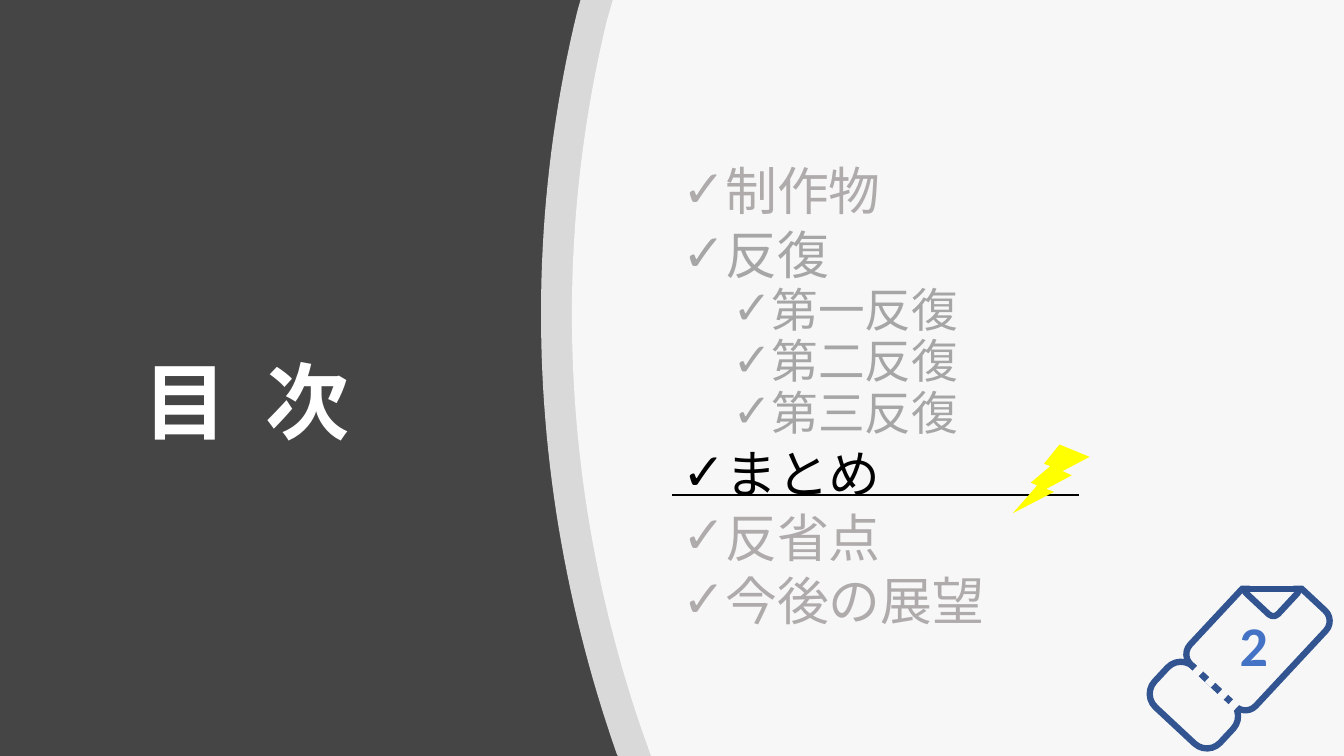
from lxml import etree
from pptx import Presentation
from pptx.dml.color import RGBColor
from pptx.enum.lang import MSO_LANGUAGE_ID
from pptx.enum.shapes import MSO_CONNECTOR, MSO_SHAPE
from pptx.enum.text import MSO_ANCHOR, MSO_AUTO_SIZE, PP_ALIGN
from pptx.oxml.ns import qn
from pptx.util import Pt

RECT = MSO_SHAPE.RECTANGLE
ROUND = MSO_SHAPE.ROUNDED_RECTANGLE
BOLT = MSO_SHAPE.LIGHTNING_BOLT
LINE = MSO_CONNECTOR.STRAIGHT
MIDDLE, TOP = MSO_ANCHOR.MIDDLE, MSO_ANCHOR.TOP
LEFT, CENTER = PP_ALIGN.LEFT, PP_ALIGN.CENTER
FIXED = MSO_AUTO_SIZE.NONE
JAPANESE = MSO_LANGUAGE_ID.JAPANESE

WIDTH, HEIGHT = 960, 540
DARK, WHITE, PALE = "454545", "FFFFFF", "F7F7F7"
FADED, GREY, BLACK = "AFABAB", "A6A6A6", "000000"
NAVY, EDGE, BLUE, YELLOW = "325491", "2F528F", "4472C4", "FFFF00"
TILT = 313

# Text, level, colour
ITEMS = [
    ("制作物", 0, FADED),
    ("反復", 0, GREY),
    ("第一反復", 1, GREY),
    ("第二反復", 1, GREY),
    ("第三反復", 1, GREY),
    ("まとめ", 0, BLACK),
    ("反省点", 0, FADED),
    ("今後の展望", 0, FADED),
]


def color(code):
    return RGBColor.from_string(code)


def curve(a, b, c, d, steps=48):
    """Return points along a cubic Bezier curve."""
    points = []
    for i in range(steps + 1):
        t = i / steps
        s = 1 - t
        points.append(tuple(
            s**3 * p + 3 * s * s * t * q + 3 * s * t * t * r + t**3 * e
            for p, q, r, e in zip(a, b, c, d)))
    return points


class Deck:
    """Hold the presentation, its style and the current slide."""

    font = "Arial"

    def __init__(self):
        self.prs = Presentation()
        self.prs.slide_width, self.prs.slide_height = Pt(WIDTH), Pt(HEIGHT)
        self.slide = self.prs.slides.add_slide(self.prs.slide_layouts[5])
        fill = self.slide.background.fill
        fill.solid()
        fill.fore_color.rgb = color(DARK)

    def paint(self, shape, fill=None, line=None, weight=1):
        shape.shadow.inherit = False
        if fill:
            shape.fill.solid()
            shape.fill.fore_color.rgb = color(fill)
        else:
            shape.fill.background()
        if line:
            shape.line.color.rgb = color(line)
            shape.line.width = Pt(weight)
        else:
            shape.line.fill.background()

    def shape(self, kind, box, fill=None, line=None, weight=1, turn=0, adj=None):
        item = self.slide.shapes.add_shape(kind, *map(Pt, box))
        self.paint(item, fill, line, weight)
        item.rotation = turn
        if adj is not None:
            item.adjustments[0] = adj
        return item

    def veil(self, points):
        """Draw a white outline shape at 80% opacity."""
        dots = [(Pt(x), Pt(y)) for x, y in points]
        build = self.slide.shapes.build_freeform(*dots[0])
        build.add_line_segments(dots[1:], close=True)
        item = build.convert_to_shape()
        self.paint(item, WHITE)
        tone = item.fill._xPr.find(qn("a:solidFill"))[0]
        etree.SubElement(tone, qn("a:alpha")).set("val", "80000")

    def line(self, x1, y1, x2, y2, tone, weight):
        item = self.slide.shapes.add_connector(LINE, *map(Pt, (x1, y1, x2, y2)))
        item.line.color.rgb = color(tone)
        item.line.width = Pt(weight)
        etree.SubElement(item._element.spPr, qn("a:effectLst"))

    def style(self, para, size, tone, bold=False, font=None, align=LEFT):
        para.alignment = align
        for run in para.runs:
            run.font.name = font or self.font
            run.font.size = Pt(size)
            run.font.bold = bold
            run.font.color.rgb = color(tone)
            run.font.language_id = JAPANESE

    def frame(self, item, anchor):
        frame = item.text_frame
        frame.word_wrap = True
        frame.auto_size = FIXED
        frame.vertical_anchor = anchor
        return frame

    def title(self, text, box):
        item = self.slide.shapes.title
        item.left, item.top, item.width, item.height = map(Pt, box)
        frame = self.frame(item, MIDDLE)
        frame.text = text
        para = frame.paragraphs[0]
        para.line_spacing = 0.9
        self.style(para, 60, WHITE, bold=True)
        para.runs[0].font._element.set("spc", "700")

    def label(self, text, box, size, tone, font):
        item = self.slide.shapes.add_textbox(*map(Pt, box))
        frame = self.frame(item, TOP)
        frame.text = text
        self.style(frame.paragraphs[0], size, tone, True, font, CENTER)

    def checks(self, items, box):
        """Write a two-level list with check marks."""
        frame = self.frame(self.slide.shapes.add_textbox(*map(Pt, box)), MIDDLE)
        frame.text = "\n".join(text for text, _, _ in items)
        for para, (_, level, tone) in zip(frame.paragraphs, items):
            para.level = level
            para.line_spacing = 0.8
            para.space_before = Pt(5 if level else 10)
            self.style(para, 33.3 if level else 37, tone)
            props = para._p.get_or_add_pPr()
            props.set("marL", str(Pt(18 + 36 * level)))
            props.set("indent", str(Pt(-18)))
            etree.SubElement(props, qn("a:buFont")).set("typeface", self.font)
            etree.SubElement(props, qn("a:buChar")).set("char", "✓")

    def ticket(self):
        for box, adj in [
            ((833, 471.6, 39.6, 64.1), 0.328),
            ((851.8, 423.4, 93.6, 64.1), 0.157),
            ((893.5, 404.6, 29.5, 31.7), 0.157),
        ]:
            self.shape(ROUND, box, line=NAVY, weight=4.5, turn=TILT, adj=adj)
        self.line(887, 420.5, 930.2, 420.5, EDGE, 4.5)
        self.shape(RECT, (885.6, 395.3, 51.8, 23), PALE)
        for x, y in [(849.6, 475.2), (860.4, 481), (868.3, 491), (876.2, 498.2)]:
            self.shape(RECT, (x, y, 14.4, 5.8), PALE, turn=TILT)
        self.label("2", (866.9, 432.7, 57.6, 55.4), 40, BLUE, "Calibri")


def main():
    deck = Deck()
    right = [(WIDTH, 0), (WIDTH, HEIGHT)]
    outer = curve((440.6, 538.6), (381.6, 370.1), (368.6, 187.2), (412.6, 7.2))
    inner = curve((457.9, 519.8), (403.2, 359.3), (392.4, 185.8), (433.4, 15.1))
    deck.veil(right + [(441.4, HEIGHT)] + outer + [(414.7, 0)])
    deck.veil(right + [(465.1, HEIGHT)] + inner + [(437.8, 0)])
    deck.title("目 次", (95, 117.4, 182.9, 344.9))
    deck.checks(ITEMS, (480.2, 110.2, 433.4, 352.1))
    deck.ticket()
    deck.line(480.2, 353.5, 770.4, 353.5, BLACK, 1)
    bolt = deck.shape(BOLT, (723.6, 317.5, 54.7, 49), YELLOW)
    bolt._element.spPr.get_or_add_xfrm().set("flipH", "1")
    deck.prs.save("out.pptx")


if __name__ == "__main__":
    main()
